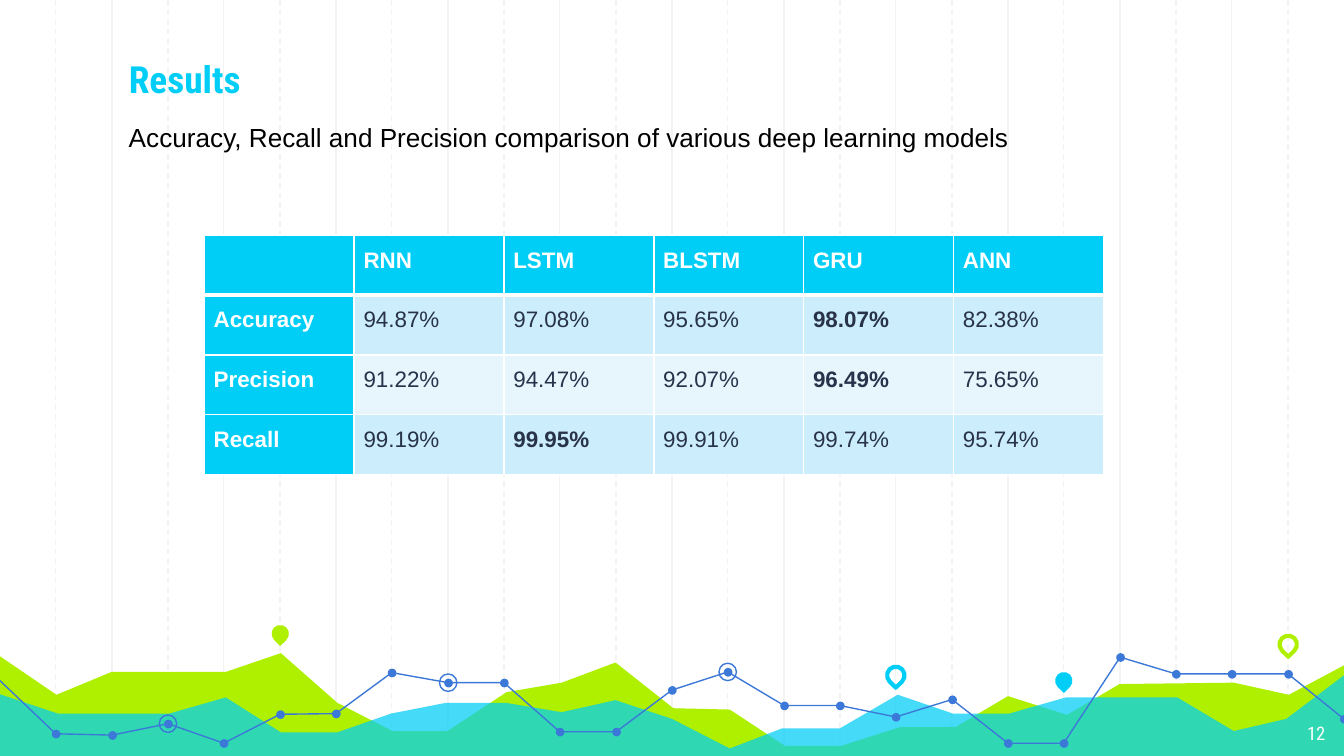
import dataclasses

import lxml.etree
import pptx
import pptx.dml.color
import pptx.enum.dml
import pptx.enum.shapes
import pptx.enum.text
import pptx.oxml
import pptx.oxml.ns
import pptx.util

PX = 4572
STATIONS = 24
SHAPES = pptx.enum.shapes.MSO_SHAPE
ALIGN = pptx.enum.text.PP_ALIGN
ANCHOR = pptx.enum.text.MSO_ANCHOR


@dataclasses.dataclass(frozen=True)
class Theme:
    """Colours, fonts and type sizes of the deck."""
    cyan: str = "00CEF6"
    lime: str = "AFF000"
    blue: str = "3C78D8"
    grid: str = "F3F3F3"
    white: str = "FFFFFF"
    black: str = "000000"
    ink: str = "28324A"
    bands: tuple = ("CCEDFB", "E7F6FD")
    heading_font: str = "Roboto Condensed"
    body_font: str = "Arial"
    title_size: int = 20
    subtitle_size: int = 14
    table_size: int = 12
    number_size: int = 10


@dataclasses.dataclass(frozen=True)
class Box:
    """A region in px."""
    left: int
    top: int
    width: int
    height: int

    def emu(self):
        """Return the four lengths in EMU."""
        return [pptx.util.Emu(length * PX) for length in dataclasses.astuple(self)]

    def station(self, index):
        """Return the x of one of the evenly spaced grid stations."""
        return self.left + round(index * self.width / STATIONS)


THEME = Theme()


def rgb(colour):
    """Turn a hex string into a colour."""
    return pptx.dml.color.RGBColor.from_string(colour)


def paint(shape, fill=None, line=None, weight=0.75):
    """Set fill and outline of a shape, leaving out what is not given."""
    shape.shadow.inherit = False
    if fill:
        shape.fill.solid()
        shape.fill.fore_color.rgb = rgb(fill)
    else:
        shape.fill.background()
    if line:
        shape.line.color.rgb = rgb(line)
        shape.line.width = pptx.util.Pt(weight)
    else:
        shape.line.fill.background()


def write(paragraph, text, font, size, colour, bold=False):
    """Add one formatted run to a paragraph."""
    run = paragraph.add_run()
    run.text = text
    run.font.name = font
    run.font.size = pptx.util.Pt(size)
    run.font.color.rgb = rgb(colour)
    run.font.bold = bold


def label(slide, box, text, font, size, colour, bold=False, inset=20,
          align=ALIGN.LEFT, anchor=ANCHOR.TOP):
    """Place a one-line text box."""
    frame = slide.shapes.add_textbox(*box.emu()).text_frame
    frame.word_wrap = True
    frame.vertical_anchor = anchor
    frame.margin_top = frame.margin_bottom = pptx.util.Emu(inset * PX)
    frame.margin_left = frame.margin_right = pptx.util.Emu(20 * PX)
    frame.paragraphs[0].alignment = align
    write(frame.paragraphs[0], text, font, size, colour, bold)


def outline(slide, box, points, close):
    """Draw a freeform through points given relative to the box."""
    start, *rest = [(box.left + x, box.top + y) for x, y in points]
    builder = slide.shapes.build_freeform(*start, scale=PX)
    builder.add_line_segments(rest, close=close)
    return builder.convert_to_shape()


def marker(slide, preset, x, y, size):
    """Add a square preset shape centred on x and y."""
    box = Box(x - size // 2, y - size // 2, size, size)
    return slide.shapes.add_shape(preset, *box.emu())


def draw_grid(slide, box):
    """Draw the vertical rules, solid at even stations and dashed at odd ones."""
    for first in (2, 1):
        for index in range(first, STATIONS, 2):
            x = box.station(index) * PX
            rule = slide.shapes.add_connector(
                pptx.enum.shapes.MSO_CONNECTOR.STRAIGHT,
                x, box.top * PX, x, (box.top + box.height) * PX)
            rule.line.color.rgb = rgb(THEME.grid)
            rule.line.width = pptx.util.Pt(0.75)
            if index % 2:
                rule.line.dash_style = pptx.enum.dml.MSO_LINE.DASH
            lxml.etree.SubElement(rule._element.spPr, pptx.oxml.ns.qn("a:effectLst"))


def draw_skyline(slide, box):
    """Draw the two area silhouettes, their pins and the dotted line."""
    lime_ridge = [
        (-4, 54), (84, 114), (166, 80), (336, 80), (418, 52), (502, 126), (584, 168),
        (666, 168), (754, 110), (836, 96), (916, 66), (1002, 134), (1086, 136),
        (1168, 190), (1252, 190), (1340, 162), (1422, 162), (1500, 116), (1588, 144),
        (1666, 98), (1836, 96), (1918, 114), (2004, 68), (2002, 208), (-6, 208)]
    cyan_ridge = [
        (-4, 112), (86, 142), (252, 142), (336, 118), (418, 170), (502, 170), (582, 142),
        (664, 126), (752, 126), (836, 140), (916, 122), (1000, 150), (1086, 194),
        (1164, 164), (1250, 164), (1336, 114), (1418, 142), (1502, 142), (1586, 118),
        (1752, 118), (1836, 168), (1914, 150), (2004, 82), (2004, 210), (-6, 210)]
    trend = [93, 172, 174, 157, 186, 143, 142, 81, 96, 96, 169, 169, 107, 80, 130, 130,
             147, 121, 186, 186, 58, 83, 83, 83, 150]
    pins = [(5, 23, THEME.lime, True), (16, 85, THEME.cyan, False),
            (19, 93, THEME.cyan, True), (23, 39, THEME.lime, False)]
    ringed = (3, 8, 13)

    paint(outline(slide, box, lime_ridge, True), THEME.lime)
    cyan_area = outline(slide, box, cyan_ridge, True)
    paint(cyan_area, THEME.cyan)
    tint = cyan_area._element.spPr.find(".//" + pptx.oxml.ns.qn("a:srgbClr"))
    lxml.etree.SubElement(tint, pptx.oxml.ns.qn("a:alpha"), val="73000")

    for index, y, colour, solid in pins:
        pin = marker(slide, SHAPES.TEAR, box.station(index), box.top + y, 26)
        pin.rotation = 135
        paint(pin, colour if solid else None, None if solid else colour, 2.25)

    stops = [(box.station(index) - box.left, y) for index, y in enumerate(trend)]
    paint(outline(slide, box, stops, False), line=THEME.blue)
    for x, y in stops[1:]:
        paint(marker(slide, SHAPES.OVAL, box.left + x, box.top + y, 13), THEME.blue)
    for index in ringed:
        x, y = stops[index]
        paint(marker(slide, SHAPES.OVAL, box.left + x, box.top + y, 26), line=THEME.blue)


def draw_heading(slide, box):
    """Place the title and the subtitle below it."""
    label(slide, Box(box.left, box.top, box.width, 112), "Results", THEME.heading_font,
          THEME.title_size, THEME.cyan, bold=True, anchor=ANCHOR.BOTTOM)
    label(slide, Box(box.left, box.top + 113, 1440, 68),
          "Accuracy, Recall and Precision comparison of various deep learning models",
          THEME.body_font, THEME.subtitle_size, THEME.black, inset=10)


def border(cell, side, weight):
    """Give one side of a cell a white border."""
    cell._tc.get_or_add_tcPr().append(pptx.oxml.parse_xml(
        f'<a:{side} {pptx.oxml.ns.nsdecls("a")} w="{pptx.util.Pt(weight)}"><a:solidFill>'
        f'<a:srgbClr val="{THEME.white}"/></a:solidFill></a:{side}>'))


def draw_scores(slide, box):
    """Build the table of scores by model, the best of each row in bold."""
    scores = [
        ("", "RNN", "LSTM", "BLSTM", "GRU", "ANN"),
        ("Accuracy", "94.87%", "97.08%", "95.65%", "98.07%", "82.38%"),
        ("Precision", "91.22%", "94.47%", "92.07%", "96.49%", "75.65%"),
        ("Recall", "99.19%", "99.95%", "99.91%", "99.74%", "95.74%")]
    table = slide.shapes.add_table(len(scores), len(scores[0]), *box.emu()).table
    for row, values in enumerate(scores):
        for column, value in enumerate(values):
            cell = table.cell(row, column)
            header = row == 0 or column == 0
            cell.margin_left = cell.margin_right = pptx.util.Emu(14 * PX)
            cell.margin_top = cell.margin_bottom = 0
            for side in ("lnL", "lnR", "lnT", "lnB"):
                divider = (row, side) in ((0, "lnB"), (1, "lnT"))
                border(cell, side, 3 if divider else 1)
            cell.fill.solid()
            cell.fill.fore_color.rgb = rgb(THEME.cyan if header else THEME.bands[(row - 1) % 2])
            paragraph = cell.text_frame.paragraphs[0]
            paragraph.alignment = ALIGN.JUSTIFY
            paragraph.line_spacing = 1.5
            if value:
                write(paragraph, value, THEME.body_font, THEME.table_size,
                      THEME.white if header else THEME.ink,
                      header or value == max(values[1:]))


def draw_page_number(slide, box):
    """Place the slide number."""
    label(slide, box, "12", THEME.heading_font, THEME.number_size, THEME.white,
          align=ALIGN.RIGHT)


def main():
    """Build the results slide and save it."""
    deck = pptx.Presentation()
    page = Box(0, 0, 2000, 1125)
    deck.slide_width, deck.slide_height = page.emu()[2:]
    slide = deck.slides.add_slide(deck.slide_layouts[6])
    draw_grid(slide, page)
    draw_skyline(slide, Box(0, 920, 2000, 205))
    draw_heading(slide, Box(172, 58, 1530, 181))
    draw_page_number(slide, Box(1872, 1057, 120, 70))
    draw_scores(slide, Box(304, 350, 1338, 356))
    deck.save("out.pptx")


if __name__ == "__main__":
    main()
